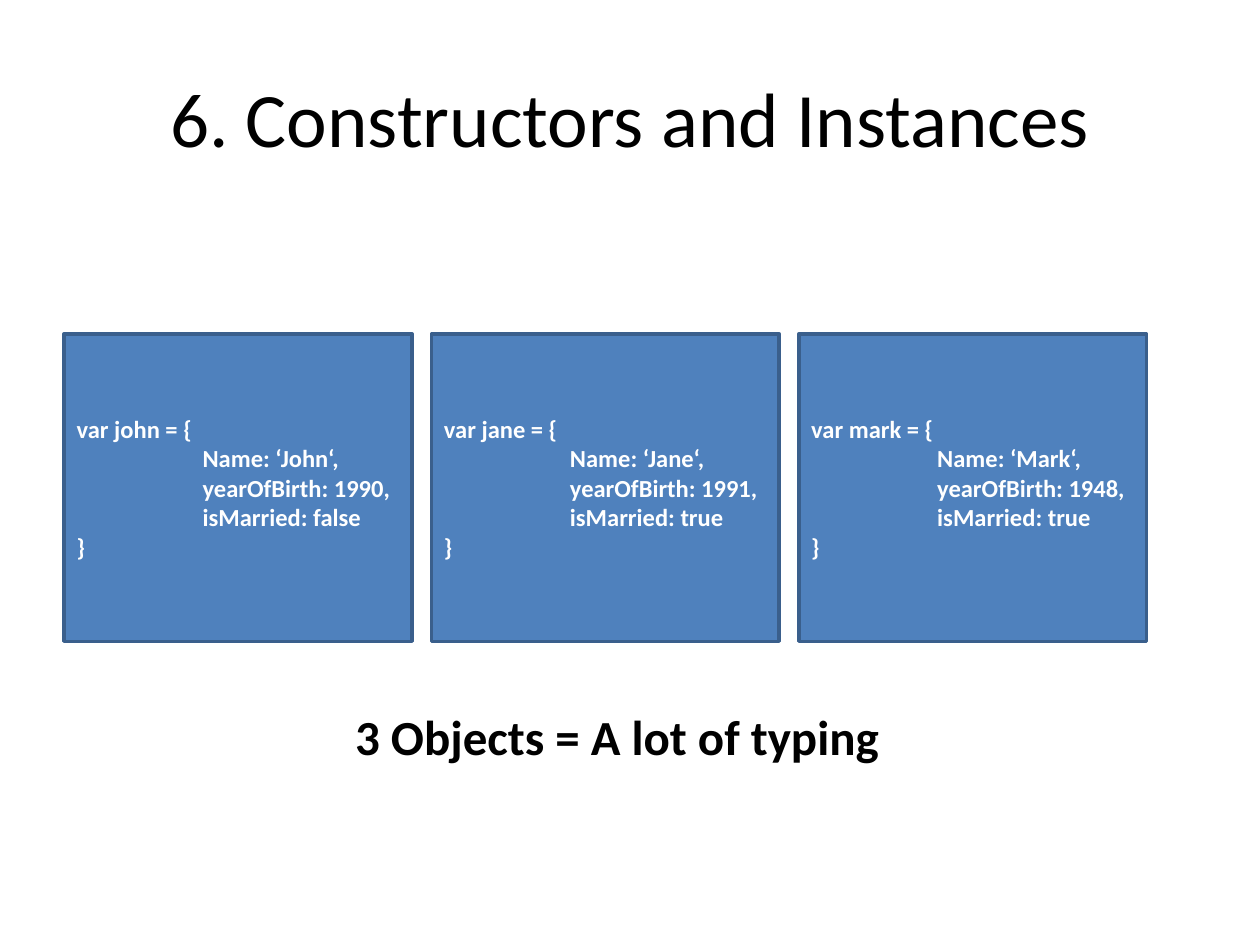
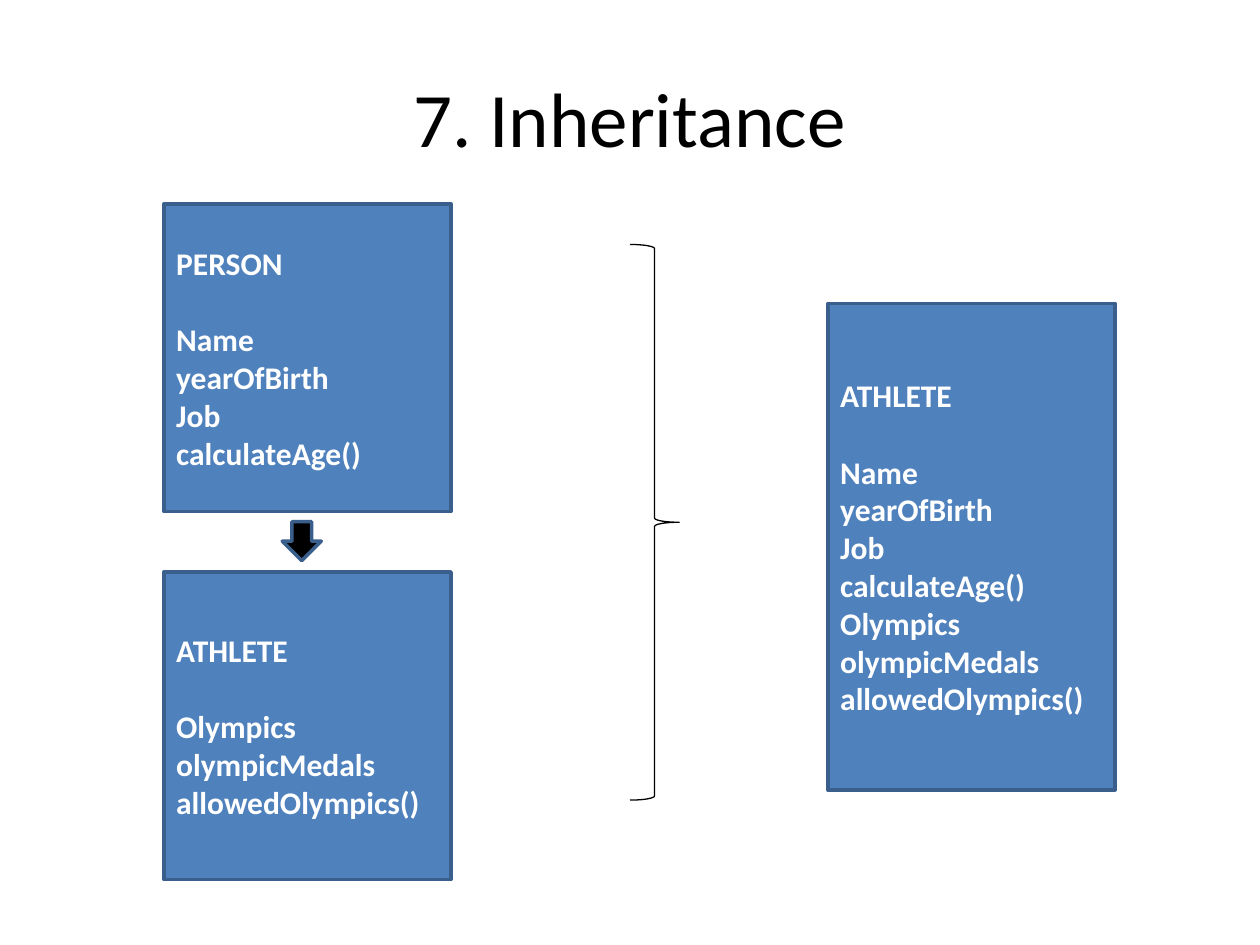
from pptx import Presentation
from pptx import util as u
from pptx.dml.color import RGBColor
from pptx.enum import shapes, text

FONT = "Calibri"
BLACK, WHITE = "000000", "FFFFFF"
BLUE, DARK_BLUE = "4F81BD", "3A5F8C"
TITLE_ONLY = 5

BOX_HEIGHT = 2.44
CLASS_WIDTH = 2.28
PERSON_FIELDS = ["Name", "yearOfBirth", "Job", "calculateAge()"]
ATHLETE_FIELDS = ["Olympics", "olympicMedals", "allowedOlympics()"]


def color(hex_value):
    return RGBColor.from_string(hex_value)


def inches(*lengths):
    return [u.Inches(length) for length in lengths]


def write(frame, lines, size, hex_value, bold=True, align=text.PP_ALIGN.LEFT):
    """Fill a text frame with one paragraph per line."""
    frame.text = "\n".join(lines)
    for para in frame.paragraphs:
        para.alignment = align
        for span in para.runs:
            span.font.name = FONT
            span.font.size = u.Pt(size)
            span.font.bold = bold
            span.font.color.rgb = color(hex_value)


def add_titled_page(deck, title):
    page = deck.slides.add_slide(deck.slide_layouts[TITLE_ONLY])
    holder = page.shapes.title
    holder.left, holder.top, holder.width, holder.height = inches(0.5, 0.3, 9, 1.25)
    holder.text_frame.vertical_anchor = text.MSO_ANCHOR.MIDDLE
    write(holder.text_frame, [title], 44, BLACK, False, text.PP_ALIGN.CENTER)
    return page


def add_figure(page, kind, place, fill, line=DARK_BLUE, weight=2):
    figure = page.shapes.add_shape(kind, *inches(*place))
    figure.shadow.inherit = False
    if fill:
        figure.fill.solid()
        figure.fill.fore_color.rgb = color(fill)
    else:
        figure.fill.background()
    figure.line.color.rgb = color(line)
    figure.line.width = u.Pt(weight)
    return figure


def add_text_box(page, place, lines, size):
    """Draw a blue box and return its paragraphs."""
    box = add_figure(page, shapes.MSO_SHAPE.RECTANGLE, place, BLUE)
    box.text_frame.vertical_anchor = text.MSO_ANCHOR.MIDDLE
    write(box.text_frame, lines, size, WHITE)
    return box.text_frame.paragraphs


def add_object_box(page, left, name, year, married):
    lines = [f"var {name.lower()} = {{", f"Name: ‘{name}‘,",
             f"yearOfBirth: {year},", f"isMarried: {married}", "}"]
    paragraphs = add_text_box(page, (left, 2.65, 2.76, BOX_HEIGHT), lines, 14)
    # Indent the properties between the braces
    for para in paragraphs[1:-1]:
        para._p.get_or_add_pPr().set("marL", str(u.Inches(1)))


def add_class_box(page, left, top, height, name, fields):
    place = (left, top, CLASS_WIDTH, height)
    heading = add_text_box(page, place, [name, *fields], 18)[0]
    heading.space_after = u.Pt(22)


def build_constructors(deck):
    page = add_titled_page(deck, "6. Constructors and Instances")
    people = [("John", 1990, "false"), ("Jane", 1991, "true"), ("Mark", 1948, "true")]
    for index, person in enumerate(people):
        add_object_box(page, 0.51 + 2.915 * index, *person)

    # Conclusion under the boxes
    summary = page.shapes.add_textbox(*inches(2.72, 5.56, 4.41, 0.57))
    summary.text_frame.word_wrap = False
    summary.text_frame.auto_size = text.MSO_AUTO_SIZE.SHAPE_TO_FIT_TEXT
    write(summary.text_frame, ["3 Objects = A lot of typing"], 28, BLACK)


def build_inheritance(deck):
    page = add_titled_page(deck, "7. Inheritance")
    # Parent and child classes
    add_class_box(page, 1.3, 1.62, BOX_HEIGHT, "PERSON", PERSON_FIELDS)
    add_class_box(page, 1.3, 4.54, BOX_HEIGHT, "ATHLETE", ATHLETE_FIELDS)
    add_figure(page, shapes.MSO_SHAPE.DOWN_ARROW, (2.24, 4.14, 0.31, 0.31), BLACK)

    # Combined class
    add_class_box(page, 6.57, 2.41, 3.86, "ATHLETE", PERSON_FIELDS + ATHLETE_FIELDS)
    add_figure(page, shapes.MSO_SHAPE.RIGHT_BRACE, (5, 1.94, 0.39, 4.41),
               None, BLACK, 0.75)


def main():
    deck = Presentation()
    deck.slide_width, deck.slide_height = inches(10, 7.5)
    build_constructors(deck)
    build_inheritance(deck)
    deck.save("out.pptx")


if __name__ == "__main__":
    main()
